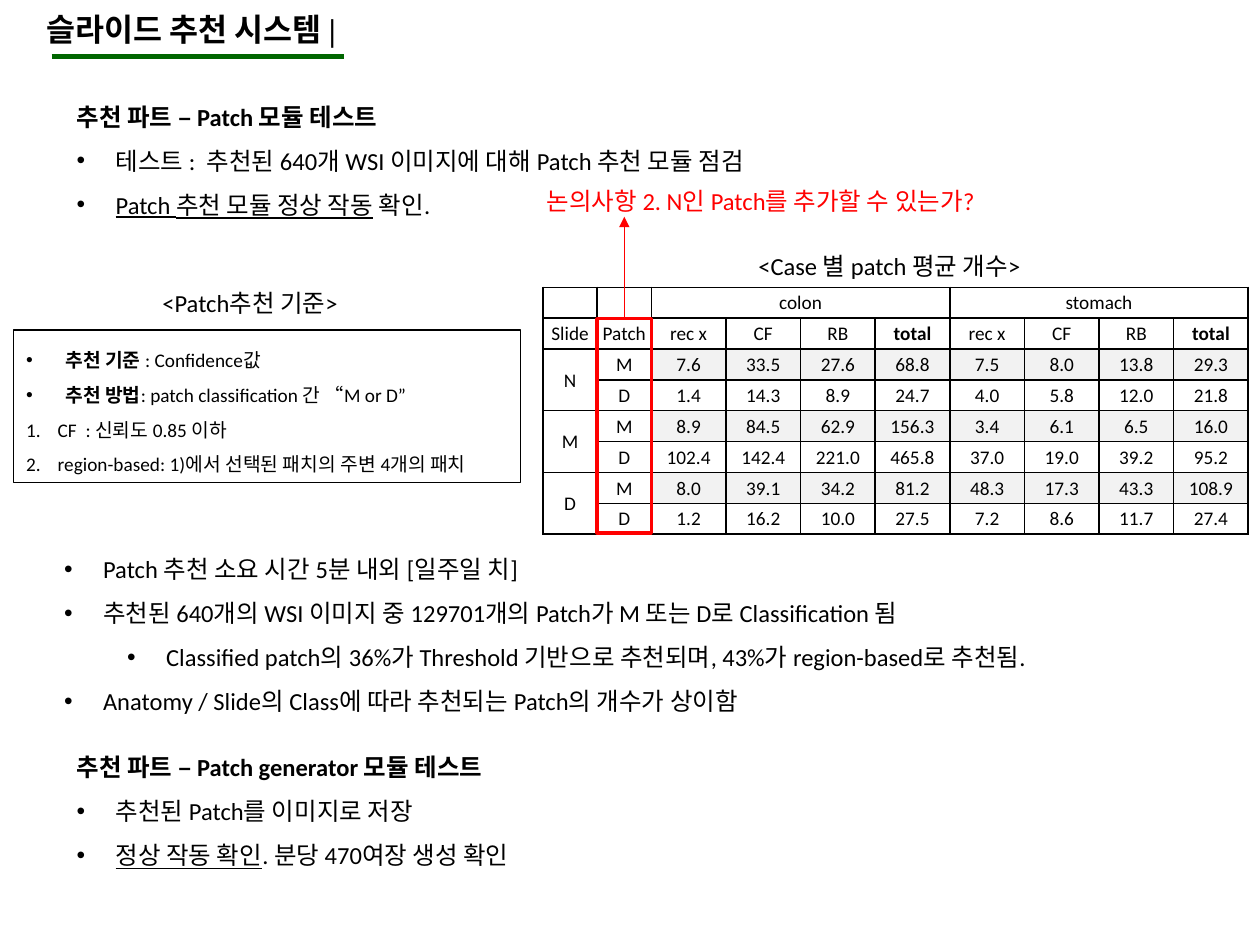
"""Build the slide on testing the patch modules of a slide recommendation system."""
import pptx
import pptx.dml.color
import pptx.enum.dml
import pptx.enum.shapes
import pptx.enum.text
import pptx.oxml
import pptx.oxml.ns
import pptx.util
from lxml import etree

Inches, Pt = pptx.util.Inches, pptx.util.Pt
BOLD, UNDERLINE = {"bold": True}, {"underline": True}
BULLET = {"mark": "•", "margin": 0.31, "hang": 0.31}
SUB_BULLET = {"mark": "•", "margin": 0.81, "hang": 0.31, "level": 1}
NUMBER = {"mark": "1.", "margin": 0.25, "hang": 0.25}
PLAIN = {}

TITLE = "슬라이드 추천 시스템 |"
PATCH_TEST = [
    (PLAIN, [("추천 파트 – Patch 모듈 테스트", BOLD)]),
    (BULLET, [("테스트 :  추천된 640개 WSI 이미지에 대해 Patch 추천 모듈 점검", {})]),
    (BULLET, [("Patch 추천 모듈 정상 작동", UNDERLINE), (" 확인.", {})]),
]
FINDINGS = [
    (BULLET, [("Patch 추천 소요 시간 5분 내외 [일주일 치]", {})]),
    (BULLET, [("추천된 640개의 WSI 이미지 중 129701개의 Patch가 M 또는 D로 Classification 됨", {})]),
    (SUB_BULLET, [("Classified patch의 36%가 Threshold 기반으로 추천되며, 43%가 region-based로 추천됨.", {})]),
    (BULLET, [("Anatomy / Slide의 Class에 따라 추천되는 Patch의 개수가 상이함", {})]),
]
CRITERIA = [
    (BULLET, [("추천 기준 ", BOLD), (": Confidence값", {})]),
    (BULLET, [("추천 방법", BOLD), (": patch classification 간 “M or D”", {})]),
    (NUMBER, [("CF  : 신뢰도 0.85 이하", {})]),
    (NUMBER, [("region-based: 1)에서 선택된 패치의 주변 4개의 패치", {})]),
]
GENERATOR_TEST = [
    (PLAIN, [("추천 파트 – Patch generator 모듈 테스트", BOLD)]),
    (BULLET, [("추천된 Patch를 이미지로 저장", {})]),
    (BULLET, [("정상 작동 확인", UNDERLINE), (". 분당 470여장 생성 확인", {})]),
]
CRITERIA_CAPTION = [(PLAIN, [("<Patch추천 기준>", {})])]
TABLE_CAPTION = [(PLAIN, [("<Case 별 patch 평균 개수>", {})])]
DISCUSSION = [(PLAIN, [("논의사항 2. N인 Patch를 추가할 수 있는가?", {})])]

MEASURES = ["rec x", "CF", "RB", "total"]
TABLE_ROWS = [
    ["", "", "colon", "", "", "", "stomach", "", "", ""],
    ["Slide", "Patch"] + MEASURES * 2,
    ["N", "M", "7.6", "33.5", "27.6", "68.8", "7.5", "8.0", "13.8", "29.3"],
    ["", "D", "1.4", "14.3", "8.9", "24.7", "4.0", "5.8", "12.0", "21.8"],
    ["M", "M", "8.9", "84.5", "62.9", "156.3", "3.4", "6.1", "6.5", "16.0"],
    ["", "D", "102.4", "142.4", "221.0", "465.8", "37.0", "19.0", "39.2", "95.2"],
    ["D", "M", "8.0", "39.1", "34.2", "81.2", "48.3", "17.3", "43.3", "108.9"],
    ["", "D", "1.2", "16.2", "10.0", "27.5", "7.2", "8.6", "11.7", "27.4"],
]
MERGES = [((0, 2), (0, 5)), ((0, 6), (0, 9))] + [((row, 0), (row + 1, 0)) for row in (2, 4, 6)]
TABLE_LEFT, TABLE_TOP, TABLE_WIDTH, TABLE_HEIGHT = 4.31, 2.28, 5.6, 1.96
LABEL_WIDTH = 0.43


def color(hex_string):
    return pptx.dml.color.RGBColor.from_string(hex_string)


def set_attributes(target, values):
    for name, value in values.items():
        setattr(target, name, value)


def add_xml(parent, tag, **attributes):
    return etree.SubElement(parent, pptx.oxml.ns.qn(tag), attributes)


def add_run(paragraph, text, size, hex_string="000000", name="Calibri", **style):
    run = paragraph.add_run()
    run.text = text
    set_attributes(run.font, {"size": Pt(size), "name": name, **style})
    run.font.color.rgb = color(hex_string)


def write_paragraphs(frame, paragraphs, size, hex_string="000000"):
    frame.word_wrap = True
    for index, (layout, runs) in enumerate(paragraphs):
        paragraph = frame.add_paragraph() if index else frame.paragraphs[0]
        set_attributes(paragraph, {"line_spacing": 1.5, "level": layout.get("level", 0),
                                   "alignment": pptx.enum.text.PP_ALIGN.LEFT})
        if layout:
            properties = paragraph._p.get_or_add_pPr()
            properties.set("marL", str(Inches(layout["margin"])))
            properties.set("indent", str(-Inches(layout["hang"])))
            if layout["mark"] == "1.":
                add_xml(properties, "a:buAutoNum", type="arabicPeriod")
            else:
                add_xml(properties, "a:buFont", typeface="Arial")
                add_xml(properties, "a:buChar", char=layout["mark"])
        for text, style in runs:
            add_run(paragraph, text, size, hex_string, **style)


def add_text(slide, box, paragraphs, hex_string="000000"):
    shape = slide.shapes.add_textbox(*map(Inches, box))
    write_paragraphs(shape.text_frame, paragraphs, 14, hex_string)


def add_outline(slide, box, hex_string, width):
    shape = slide.shapes.add_shape(pptx.enum.shapes.MSO_SHAPE.RECTANGLE, *map(Inches, box))
    shape.shadow.inherit = False
    shape.fill.background()
    shape.line.color.rgb = color(hex_string)
    shape.line.width = Pt(width)
    return shape


def add_line(slide, start, end, hex_string, width):
    connector = slide.shapes.add_connector(
        pptx.enum.shapes.MSO_CONNECTOR.STRAIGHT, *map(Inches, start + end))
    connector.line.color.rgb = color(hex_string)
    connector.line.width = Pt(width)
    add_xml(connector._element.spPr, "a:effectLst")
    return connector


def format_cell(cell, text, fill, bold):
    set_attributes(cell, {"margin_left": Inches(0.01), "margin_right": Inches(0.01),
                          "margin_top": Inches(0.01), "margin_bottom": 0,
                          "vertical_anchor": pptx.enum.text.MSO_ANCHOR.MIDDLE})
    paragraph = cell.text_frame.paragraphs[0]
    paragraph.alignment = pptx.enum.text.PP_ALIGN.CENTER
    if text:
        add_run(paragraph, text, 11, bold=bold)
    else:
        add_xml(paragraph._p, "a:endParaRPr", sz="1100")
    properties = cell._tc.get_or_add_tcPr()
    for side in ("a:lnL", "a:lnR", "a:lnT", "a:lnB"):
        border = add_xml(properties, side, w=str(Pt(1)))
        add_xml(add_xml(border, "a:solidFill"), "a:srgbClr", val="000000")
    cell.fill.solid()
    cell.fill.fore_color.rgb = color(fill)


def add_patch_table(slide):
    box = map(Inches, (TABLE_LEFT, TABLE_TOP, TABLE_WIDTH, TABLE_HEIGHT))
    table = slide.shapes.add_table(len(TABLE_ROWS), len(TABLE_ROWS[0]), *box).table
    set_attributes(table, {"first_row": False, "horz_banding": False})
    value_width = (TABLE_WIDTH - 2 * LABEL_WIDTH) / 8
    for index, column in enumerate(table.columns):
        column.width = Inches(LABEL_WIDTH if index < 2 else value_width)
    for row_index, row in enumerate(TABLE_ROWS):
        table.rows[row_index].height = Inches(TABLE_HEIGHT / len(TABLE_ROWS))
        for column_index, text in enumerate(row):
            shaded = row_index in (2, 4, 6) and column_index > 1
            format_cell(table.cell(row_index, column_index), text,
                        "F2F2F2" if shaded else "FFFFFF", text == "total")
    for first, last in MERGES:
        table.cell(*first).merge(table.cell(*last))


def add_title(slide):
    title = slide.shapes.title
    set_attributes(title, {"left": Inches(0.27), "top": Inches(0.03),
                           "width": Inches(6.96), "height": Inches(0.4)})
    set_attributes(title.text_frame, {"word_wrap": True,
                                      "auto_size": pptx.enum.text.MSO_AUTO_SIZE.NONE,
                                      "vertical_anchor": pptx.enum.text.MSO_ANCHOR.TOP})
    paragraph = title.text_frame.paragraphs[0]
    paragraph.alignment = pptx.enum.text.PP_ALIGN.LEFT
    add_run(paragraph, TITLE, 18, name="Times New Roman", bold=True)


def main():
    presentation = pptx.Presentation()
    presentation.slide_width, presentation.slide_height = Inches(10), Inches(7.5)
    slide = presentation.slides.add_slide(presentation.slide_layouts[5])
    add_line(slide, (0.41, 0.45), (2.73, 0.45), "006600", 3)
    add_title(slide)
    add_text(slide, (0.51, 0.64, 8.43, 2.18), PATCH_TEST)
    add_text(slide, (0.41, 4.23, 9.38, 1.48), FINDINGS)
    add_text(slide, (1.19, 2.12, 3.01, 0.77), CRITERIA_CAPTION)
    criteria = add_outline(slide, (0.11, 2.62, 4.02, 1.21), "000000", 0.75)
    write_paragraphs(criteria.text_frame, CRITERIA, 11)
    add_text(slide, (5.92, 1.83, 3.01, 0.42), TABLE_CAPTION)
    add_patch_table(slide)
    highlight = add_outline(slide, (TABLE_LEFT + LABEL_WIDTH, 2.53, LABEL_WIDTH, 1.7), "FF0000", 2)
    add_text(slide, (4.24, 1.31, 5.7, 0.42), DISCUSSION, "FF0000")
    arrow = add_line(slide, (4.95, 2.53), (4.95, 1.72), "FF0000", 0.5)
    arrow.begin_connect(highlight, 0)
    arrow.end_x = arrow.begin_x
    add_xml(arrow.line._get_or_add_ln(), "a:tailEnd", type="triangle")
    add_text(slide, (0.51, 5.8, 8.43, 1.48), GENERATOR_TEST)
    presentation.save("out.pptx")


if __name__ == "__main__":
    main()
